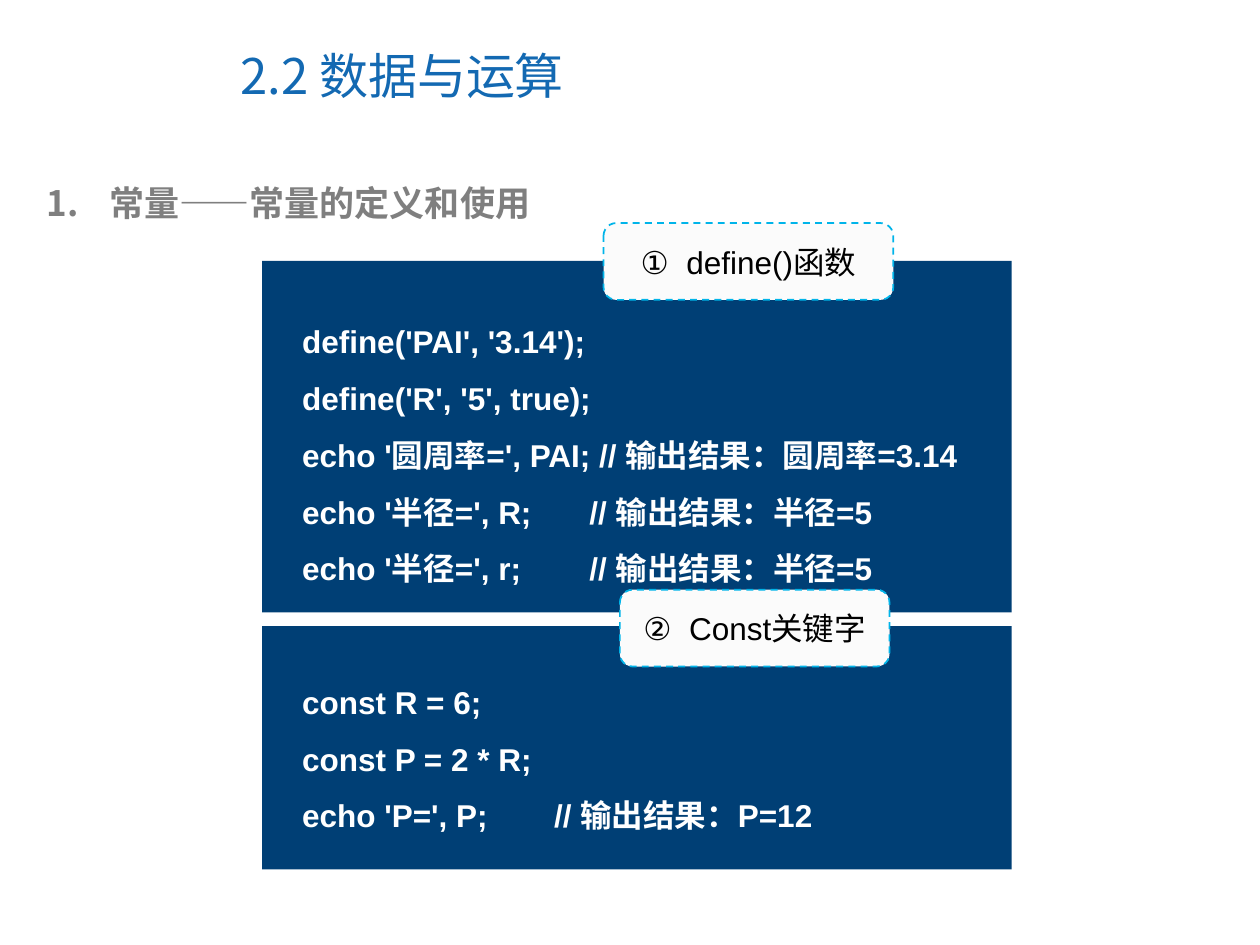
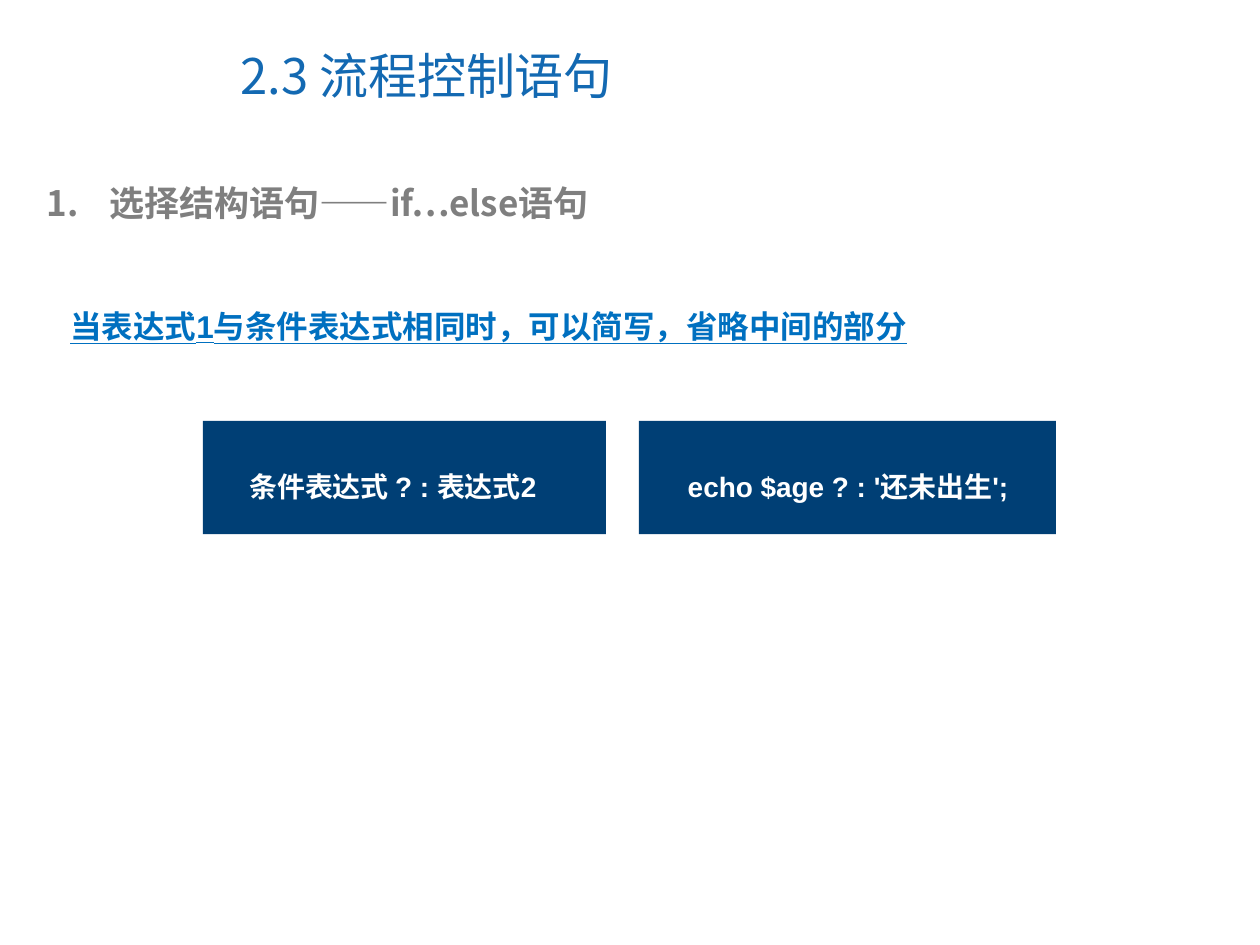
"""Two lesson slides on PHP constants and the short form of the conditional expression."""
from lxml.etree import SubElement
from pptx import Presentation
from pptx.dml.color import RGBColor
from pptx.enum.dml import MSO_LINE
from pptx.enum.shapes import MSO_SHAPE
from pptx.enum.text import MSO_ANCHOR, PP_ALIGN
from pptx.oxml.ns import qn
from pptx.util import Inches, Pt

TITLE_BLUE = RGBColor(0x13, 0x69, 0xB2)
HEADING_GRAY = RGBColor(0x7F, 0x7F, 0x7F)
PANEL_NAVY = RGBColor(0x00, 0x3F, 0x75)
LABEL_FILL = RGBColor(0xFB, 0xFB, 0xFB)
LABEL_EDGE = RGBColor(0x00, 0xB4, 0xE9)
NOTE_BLUE = RGBColor(0x00, 0x70, 0xC0)
WHITE = RGBColor(0xFF, 0xFF, 0xFF)
BLACK = RGBColor(0x00, 0x00, 0x00)
LATIN, CJK = "Arial", "Noto Sans CJK SC"

deck = Presentation()
deck.slide_width, deck.slide_height = Inches(10), Inches(7.5)


def place(slide, box, outline=None, fill=None):
    """Add a text box, or a filled shape, at percentages of the slide's size."""
    sides = (deck.slide_width, deck.slide_height) * 2
    area = [int(side * share / 100) for side, share in zip(sides, box)]
    if outline is None:
        shape = slide.shapes.add_textbox(*area)
    else:
        shape = slide.shapes.add_shape(outline, *area)
        shape.shadow.inherit = False
        shape.fill.solid()
        shape.fill.fore_color.rgb = fill
        shape.line.fill.background()
    shape.text_frame.word_wrap = True
    return shape


def write(shape, lines, size, color, font=LATIN, bold=True, spacing=None,
          underline=None, tab=None, numbered=False):
    """Write one paragraph per line, with a tab stop in inches where one is given."""
    frame = shape.text_frame
    for index, line in enumerate(lines):
        paragraph = frame.add_paragraph() if index else frame.paragraphs[0]
        properties = paragraph._p.get_or_add_pPr()
        if numbered:
            properties.set("marL", str(Inches(0.5)))
            properties.set("indent", str(-Inches(0.5)))
            SubElement(properties, qn("a:buFont"), typeface=CJK)
            SubElement(properties, qn("a:buAutoNum"), type="arabicPeriod")
        if tab and "\t" in line:
            stops = SubElement(properties, qn("a:tabLst"))
            SubElement(stops, qn("a:tab"), pos=str(Inches(tab)), algn="l")
        if spacing:
            paragraph.line_spacing = spacing
        run = paragraph.add_run()
        run.text = line
        run.font.name = font
        run.font.size = Pt(size)
        run.font.bold = bold
        run.font.underline = underline
        run.font.color.rgb = color
        SubElement(run._r.get_or_add_rPr(), qn("a:ea"), typeface=CJK)


lesson_slides = []
for title, heading in (
    ("2.2 数据与运算", "常量——常量的定义和使用"),
    ("2.3 流程控制语句", "选择结构语句——if…else语句"),
):
    slide = deck.slides.add_slide(deck.slide_layouts[6])
    title_box = place(slide, (18.1, 2.27, 51.6, 11.33))
    title_box.text_frame.vertical_anchor = MSO_ANCHOR.MIDDLE
    write(title_box, [title], 28, TITLE_BLUE, CJK, bold=False)
    heading_box = place(slide, (2.7, 18.53, 92.2, 5.87))
    write(heading_box, [heading], 20, HEADING_GRAY, CJK, numbered=True)
    lesson_slides.append(slide)

constants, selection = lesson_slides

define_code = [
    "define('PAI', '3.14');",
    "define('R', '5', true);",
    "echo '圆周率=', PAI; // 输出结果：圆周率=3.14",
    "echo '半径=', R;\t// 输出结果：半径=5",
    "echo '半径=', r;\t// 输出结果：半径=5",
]
const_code = [
    "const R = 6;",
    "const P = 2 * R;",
    "echo 'P=', P;\t// 输出结果：P=12",
]
for top, height, code_top, code, tab, label, label_box in (
    (27.6, 37.2, 31.47, define_code, 2.28, "①  define()函数", (47.9, 23.6, 23, 8.13)),
    (66.27, 25.73, 69.6, const_code, 2, "②  Const关键字", (49.2, 62.4, 21.4, 8.13)),
):
    place(constants, (20.8, top, 59.5, height), MSO_SHAPE.RECTANGLE, PANEL_NAVY)
    code_box = place(constants, (23, code_top, 57.3, top + height - code_top))
    write(code_box, code, 18, WHITE, spacing=1.5, tab=tab)
    tag = place(constants, label_box, MSO_SHAPE.ROUNDED_RECTANGLE, LABEL_FILL)
    tag.line.color.rgb = LABEL_EDGE
    tag.line.width = Pt(1)
    tag.line.dash_style = MSO_LINE.DASH
    tag.text_frame.vertical_anchor = MSO_ANCHOR.MIDDLE
    write(tag, [label], 18, BLACK, bold=False)
    tag.text_frame.paragraphs[0].alignment = PP_ALIGN.CENTER

for left, width, inset, code in (
    (16.1, 32, 2.7, "条件表达式 ? : 表达式2"),
    (50.7, 33.1, 2.9, "echo $age ? : '还未出生';"),
):
    place(selection, (left, 44.53, width, 12), MSO_SHAPE.RECTANGLE, PANEL_NAVY)
    code_box = place(selection, (left + inset, 47.2, width - inset, 6.67))
    write(code_box, [code], 16, WHITE, spacing=1.5)

note = place(selection, (4.6, 27.87, 76.5, 9.33))
write(note, ["当表达式1与条件表达式相同时，可以简写，省略中间的部分"], 18, NOTE_BLUE,
      spacing=2.0, underline=True)

deck.save("out.pptx")
